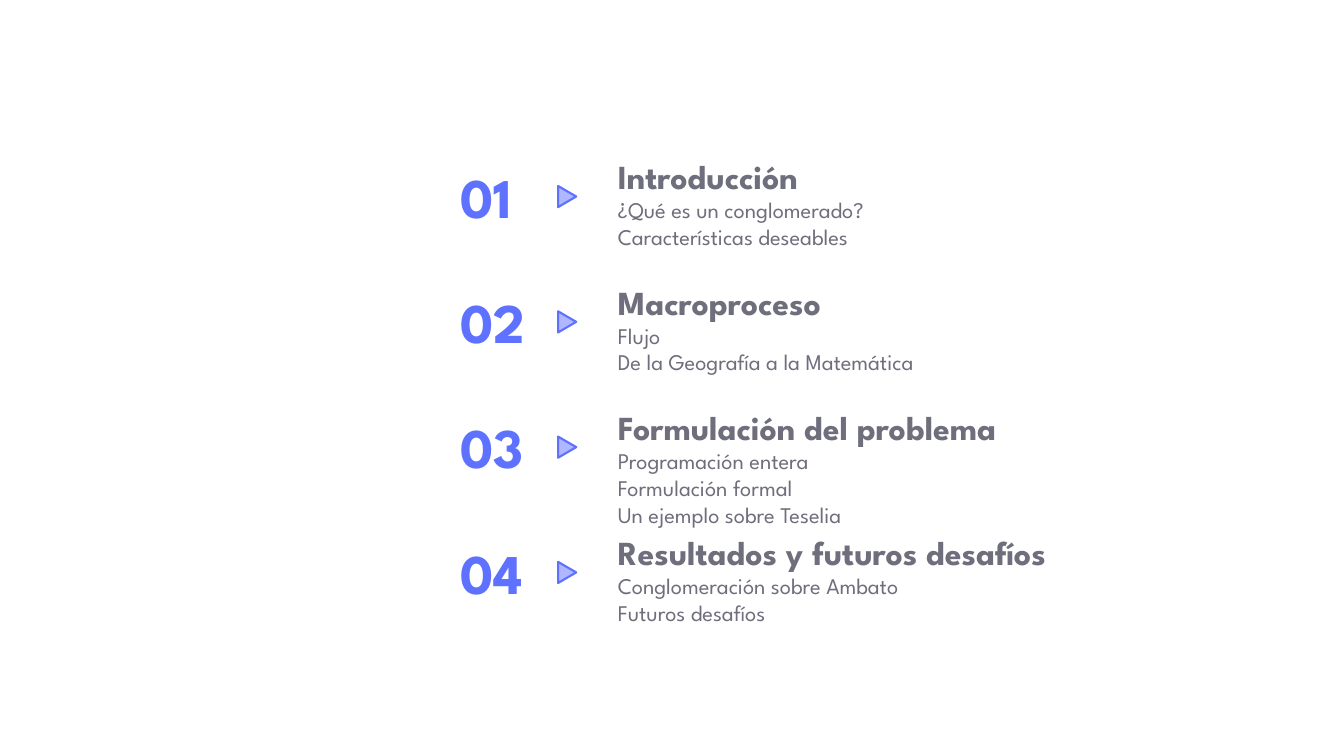
"""Build the agenda slide: four numbered sections with their topics."""
from lxml import etree
from pptx import Presentation
from pptx import util as u
from pptx.dml.color import RGBColor
from pptx.enum import shapes, text
from pptx.oxml.ns import qn

SECTIONS = [
    ("Introducción", ["¿Qué es un conglomerado?", "Características deseables"]),
    ("Macroproceso", ["Flujo", "De la Geografía a la Matemática"]),
    ("Formulación del problema",
     ["Programación entera", "Formulación formal", "Un ejemplo sobre Teselia"]),
    ("Resultados y futuros desafíos",
     ["Conglomeración sobre Ambato", "Futuros desafíos"]),
]
COLORS = {"accent": "5E71FF", "body": "6E6E7C", "background": "FFFFFF"}
FONT = "League Spartan"
FORMATS = {
    "number": {"size": u.Pt(40), "bold": True, "name": FONT},
    "title": {"size": u.Pt(24), "bold": True, "name": FONT},
    "topic": {"size": u.Pt(16), "bold": False, "name": FONT},
}
WIDTH, HEIGHT = 13.33, 7.5
FIRST_ROW, ROW_PITCH = 1.5, 1.243
TITLE_HEIGHT, TOPIC_HEIGHT = 0.5, 0.27
COLUMNS = {"number": (4.47, 0.88), "arrow": (5.52, 0.21), "topics": (6.03, 5.53)}


def color(name):
    return RGBColor.from_string(COLORS[name])


def add_text(slide, column, top, height, lines, color_name):
    left, width = COLUMNS[column]
    box = slide.shapes.add_textbox(*map(u.Inches, (left, top, width, height)))
    frame = box.text_frame
    frame.word_wrap = True
    frame.auto_size = text.MSO_AUTO_SIZE.SHAPE_TO_FIT_TEXT
    for index, (words, style) in enumerate(lines):
        paragraph = frame.paragraphs[0] if index == 0 else frame.add_paragraph()
        run = paragraph.add_run()
        run.text = words
        for attribute, value in FORMATS[style].items():
            setattr(run.font, attribute, value)
        run.font.color.rgb = color(color_name)


def add_arrow(slide, top):
    left, width = COLUMNS["arrow"]
    arrow = slide.shapes.add_shape(
        shapes.MSO_SHAPE.ISOSCELES_TRIANGLE, *map(u.Inches, (left, top, width, 0.18)))
    arrow.rotation = 90
    arrow.shadow.inherit = False
    arrow.fill.solid()
    arrow.fill.fore_color.rgb = color("accent")
    arrow.line.color.rgb = color("accent")
    arrow.line.width = u.Pt(1.5)
    fill_color = arrow.fill._xPr.find(qn("a:solidFill"))[0]
    etree.SubElement(fill_color, qn("a:alpha"), val="50000")


def main():
    presentation = Presentation()
    presentation.slide_width = u.Inches(WIDTH)
    presentation.slide_height = u.Inches(HEIGHT)
    slide = presentation.slides.add_slide(presentation.slide_layouts[6])
    slide.background.fill.solid()
    slide.background.fill.fore_color.rgb = color("background")
    for row, (title, topics) in enumerate(SECTIONS):
        top = FIRST_ROW + row * ROW_PITCH
        add_text(slide, "number", top + 0.06, 0.77, [(f"{row + 1:02d}", "number")], "accent")
        add_arrow(slide, top + 0.36)
        lines = [(title, "title")] + [(topic, "topic") for topic in topics]
        height = TITLE_HEIGHT + TOPIC_HEIGHT * len(topics)
        add_text(slide, "topics", top, height, lines, "body")
    presentation.save("out.pptx")


if __name__ == "__main__":
    main()
